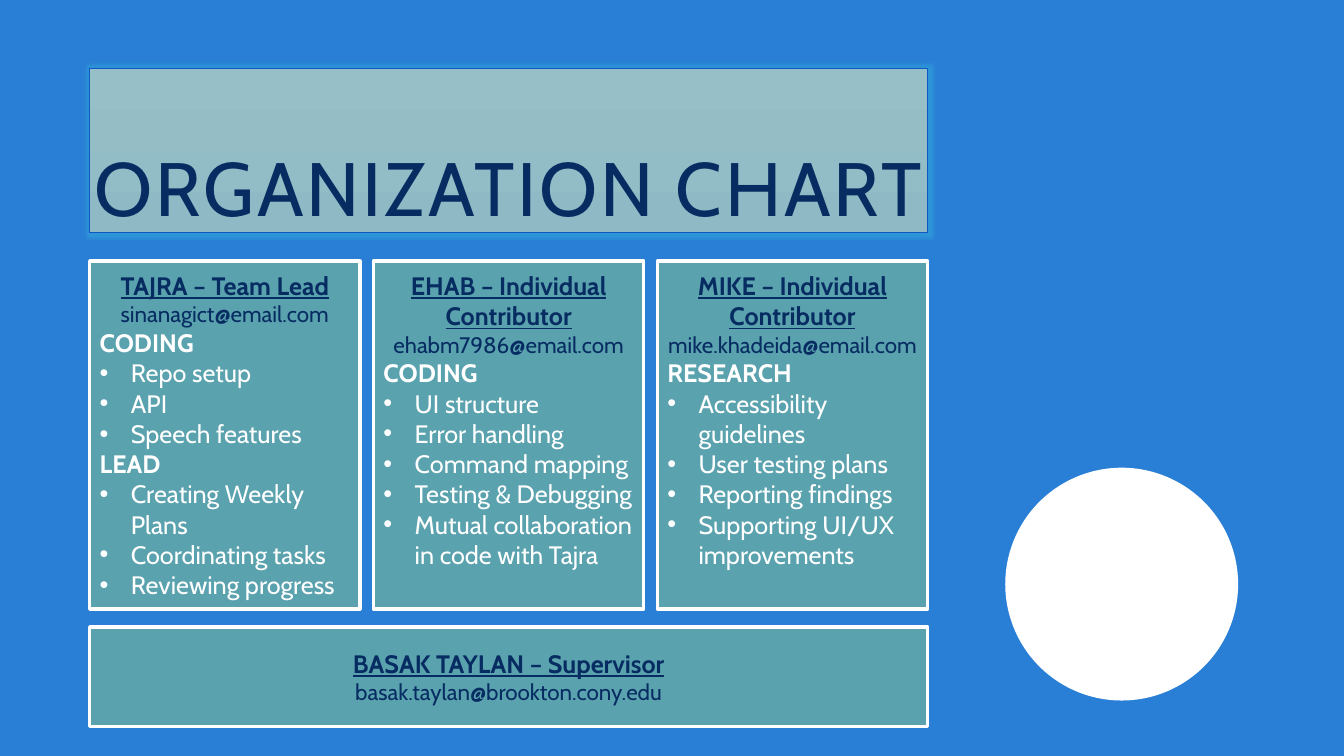
from lxml.etree import SubElement as Sub
from pptx import Presentation
from pptx.dml.color import RGBColor as Rgb
from pptx.enum.shapes import MSO_SHAPE as Kind
from pptx.enum.text import MSO_ANCHOR as Anchor, MSO_AUTO_SIZE as Auto, PP_ALIGN as Align
from pptx.oxml.ns import qn
from pptx.util import Inches, Pt

HUES = {"back": "297FD5", "teal": "5AA2AE", "navy": "072C62", "white": "FFFFFF",
        "edge": "0E58C4", "top": "97BFC7", "base": "8FBAC5", "halo": "31A5DB"}
INK = {key: Rgb.from_string(val) for key, val in HUES.items()}
LEFT, WIDE, COL, STEP = 0.89, 8.31, 2.68, 2.815

TEAM = [
    ("TAJRA – Team Lead", "sinanagict@email.com", 0.05, [
        ("CODING", ["Repo setup", "API", "Speech features"]),
        ("LEAD", ["Creating Weekly Plans", "Coordinating tasks", "Reviewing progress"])]),
    ("EHAB – Individual Contributor", "ehabm7986@email.com", 0.35, [
        ("CODING", ["UI structure", "Error handling", "Command mapping",
                    "Testing & Debugging", "Mutual collaboration in code with Tajra"])]),
    ("MIKE – Individual Contributor", "mike.khadeida@email.com", 0.35, [
        ("RESEARCH", ["Accessibility guidelines", "User testing plans",
                      "Reporting findings", "Supporting UI/UX improvements"])]),
]
BOSS = ("BASAK TAYLAN – Supervisor", "basak.taylan@brookton.cony.edu", 0.05, [])
CARDS = [(LEFT + STEP * i, 2.59, COL, 3.45, *who) for i, who in enumerate(TEAM)]
CARDS.append((LEFT, 6.22, WIDE, 0.99, *BOSS))


def write(frame, text, size, hue, bold=False, line=False, side=Align.CENTER):
    para = frame.paragraphs[0]
    if para.runs:
        para = frame.add_paragraph()
    para.alignment = side
    run = para.add_run()
    run.text = text
    font = run.font
    font.name, font.size, font.bold, font.underline = "Cabin", Pt(size), bold, line
    font.color.rgb = INK[hue]
    return para


deck = Presentation()
deck.slide_width, deck.slide_height = Inches(13.33), Inches(7.5)
slide = deck.slides.add_slide(deck.slide_layouts[5])
slide.background.fill.solid()
slide.background.fill.fore_color.rgb = INK["back"]

title = slide.shapes.title
title.left, title.top = Inches(LEFT), Inches(0.68)
title.width, title.height = Inches(WIDE), Inches(1.63)
title.fill.gradient()
title.fill.gradient_angle = 270
for stop, hue in zip(title.fill.gradient_stops, ("top", "base")):
    stop.color.rgb = INK[hue]
title.line.color.rgb = INK["edge"]
title.line.width = Pt(0.75)
halo = Sub(Sub(title.element.spPr, qn("a:effectLst")), qn("a:glow"), rad=str(Pt(5)))
tint = Sub(halo, qn("a:srgbClr"), val=HUES["halo"])
Sub(tint, qn("a:alpha"), val="60000")
frame = title.text_frame
frame.auto_size, frame.word_wrap = Auto.NONE, True
frame.vertical_anchor = Anchor.BOTTOM
frame.margin_left = frame.margin_right = frame.margin_top = frame.margin_bottom = 0
head = write(frame, "ORGANIZATION CHART", 54, "navy")
head.line_spacing = 0.9
head.runs[0].font._element.set("spc", "200")

disc = slide.shapes.add_shape(Kind.OVAL, Inches(9.97), Inches(4.64), Inches(2.31), Inches(2.31))
disc.shadow.inherit = False
disc.fill.solid()
disc.fill.fore_color.rgb = INK["white"]
disc.line.fill.background()

for x, y, w, h, name, mail, foot, parts in CARDS:
    card = slide.shapes.add_shape(Kind.RECTANGLE, Inches(x), Inches(y), Inches(w), Inches(h))
    card.shadow.inherit = False
    card.fill.solid()
    card.fill.fore_color.rgb = INK["teal"]
    card.line.color.rgb = INK["white"]
    card.line.width = Pt(2.5)
    frame = card.text_frame
    frame.word_wrap = True
    frame.vertical_anchor = Anchor.MIDDLE
    frame.margin_bottom = Inches(foot)
    write(frame, name, 18, "navy", True, True)
    write(frame, mail, 16, "navy")
    for part, tasks in parts:
        write(frame, part, 18, "white", True, side=Align.LEFT)
        for task in tasks:
            props = write(frame, task, 18, "white", side=Align.LEFT)._p.get_or_add_pPr()
            props.set("marL", str(Inches(0.31)))
            props.set("indent", str(-Inches(0.31)))
            Sub(props, qn("a:buFont"), typeface="Arial")
            Sub(props, qn("a:buChar"), char="•")

deck.save("out.pptx")
